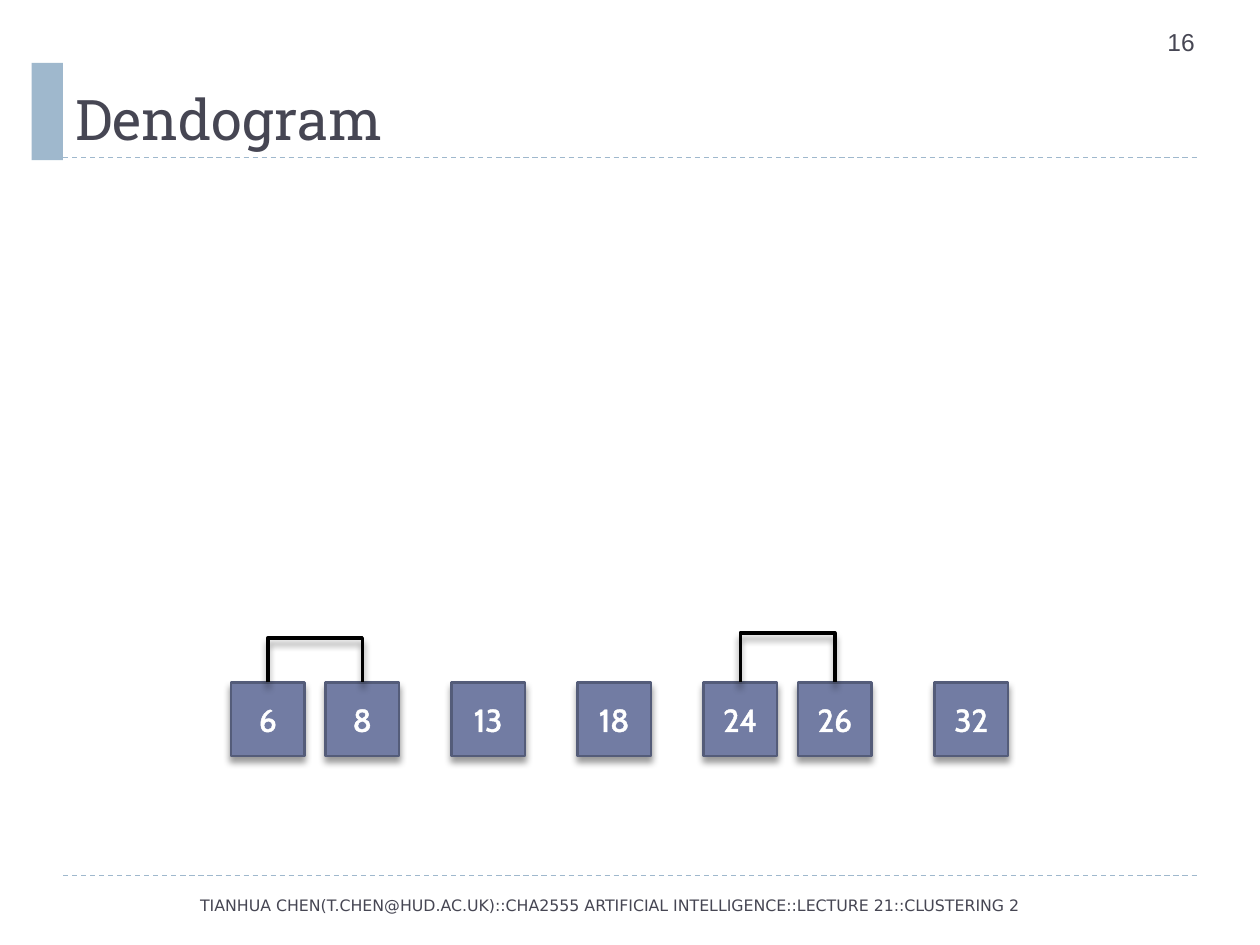
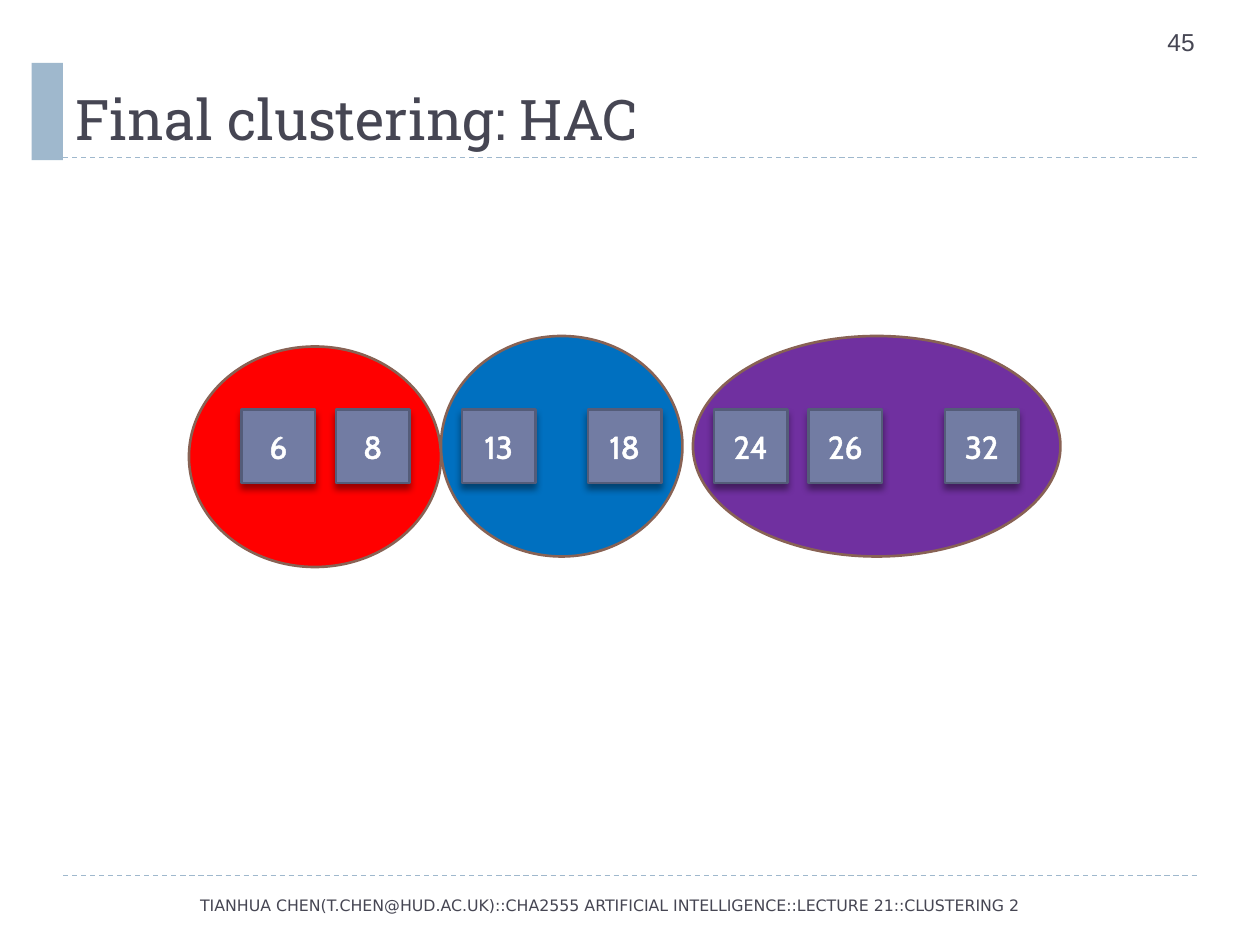
from dataclasses import dataclass

from lxml import etree
from pptx import Presentation
from pptx.dml.color import RGBColor
from pptx.enum.dml import MSO_LINE
from pptx.enum.shapes import MSO_CONNECTOR, MSO_SHAPE
from pptx.enum.text import MSO_ANCHOR, PP_ALIGN
from pptx.oxml import parse_xml
from pptx.oxml.ns import nsdecls, qn
from pptx.util import Pt

RECT, OVAL = MSO_SHAPE.RECTANGLE, MSO_SHAPE.OVAL
STRAIGHT, ELBOW = MSO_CONNECTOR.STRAIGHT, MSO_CONNECTOR.ELBOW
TOP, MIDDLE, BOTTOM = MSO_ANCHOR.TOP, MSO_ANCHOR.MIDDLE, MSO_ANCHOR.BOTTOM
LEFT, CENTER = PP_ALIGN.LEFT, PP_ALIGN.CENTER
DASH = MSO_LINE.DASH


@dataclass(frozen=True)
class Theme:
    ink: str = "464653"
    accent: str = "9FB8CD"
    tile: str = "727CA3"
    tile_edge: str = "545C79"
    cluster_edge: str = "886254"
    white: str = "FFFFFF"
    black: str = "000000"
    red: str = "FF0000"
    blue: str = "0070C0"
    purple: str = "7030A0"
    title_font: str = "Roboto Slab"
    number_font: str = "Arial"
    tile_font: str = "Cabin"
    footer_font: str = "DejaVu Sans"
    title_size: float = 32
    number_size: float = 14
    tile_size: float = 18
    footer_size: float = 9


T = Theme()
WIDTH, HEIGHT = 720, 540
FOOTER = ("TIANHUA CHEN(T.CHEN@HUD.AC.UK)::CHA2555 ARTIFICIAL INTELLIGENCE"
          "::LECTURE 21::CLUSTERING 2")

# Data points and their distance from the left end of the row
TILE = 42
POINTS = {6: 0, 8: 54, 13: 126, 18: 198, 24: 270, 26: 324, 32: 402}


def rgb(value):
    return RGBColor.from_string(value)


def write(tf, text, *, font, size, color, align=LEFT, anchor=TOP, outline=None):
    """Fill a text frame with one formatted run."""
    tf.word_wrap = True
    tf.vertical_anchor = anchor
    p = tf.paragraphs[0]
    p.alignment = align
    r = p.add_run()
    r.text = text
    r.font.name, r.font.size = font, Pt(size)
    r.font.color.rgb = rgb(color)
    if outline:
        r._r.get_or_add_rPr().insert(0, parse_xml(
            f'<a:ln {nsdecls("a")} w="{Pt(outline)}"><a:solidFill>'
            f'<a:srgbClr val="{color}"/></a:solidFill></a:ln>'))


def add_text(slide, box, text, **style):
    write(slide.shapes.add_textbox(*map(Pt, box)).text_frame, text, **style)


def add_filled(slide, kind, box, fill, edge=None):
    s = slide.shapes.add_shape(kind, *map(Pt, box))
    s.shadow.inherit = False
    s.fill.solid()
    s.fill.fore_color.rgb = rgb(fill)
    if edge:
        s.line.color.rgb, s.line.width = rgb(edge), Pt(1.5)
    else:
        s.line.fill.background()
    return s


def add_line(slide, kind, start, end, color, width):
    c = slide.shapes.add_connector(kind, *map(Pt, (*start, *end)))
    c.line.color.rgb, c.line.width = rgb(color), Pt(width)
    etree.SubElement(c._element.spPr, qn("a:effectLst"))
    return c


def add_shadow(s, distance):
    """Cast a soft black shadow straight down."""
    s._element.spPr.find(qn("a:effectLst")).append(parse_xml(
        f'<a:outerShdw {nsdecls("a")} blurRad="{Pt(4)}" dist="{Pt(distance)}" '
        f'dir="5400000" rotWithShape="0"><a:srgbClr val="{T.black}">'
        '<a:alpha val="40000"/></a:srgbClr></a:outerShdw>'))


def add_frame(slide, title, number):
    """Rules, accent block, page number, title and footer."""
    for y in (500.4, 90):
        add_line(slide, STRAIGHT, (36, y), (684, y), T.accent, 0.75).line.dash_style = DASH
    add_filled(slide, RECT, (18, 36, 18, 55.5), T.accent)
    add_text(slide, (660, 12, 60, 29), str(number), font=T.number_font,
             size=T.number_size, color=T.ink)
    add_text(slide, (36, 12, 648, 78), title, font=T.title_font,
             size=T.title_size, color=T.ink, anchor=BOTTOM)
    add_text(slide, (14.5, 501, 667.5, 32), FOOTER, font=T.footer_font,
             size=T.footer_size, color=T.ink, align=CENTER, anchor=MIDDLE)


def add_tiles(slide, left, top):
    """One tile for each data point."""
    for value, dx in POINTS.items():
        s = add_filled(slide, RECT, (left + dx, top, TILE, TILE), T.tile, T.tile_edge)
        add_shadow(s, 3)
        write(s.text_frame, str(value), font=T.tile_font, size=T.tile_size,
              color=T.white, align=CENTER, anchor=MIDDLE, outline=1.45)


def add_merge(slide, left, top, first, second, rise):
    """Bracket that joins the tops of two tiles."""
    depth = 0.12
    span = POINTS[second] - POINTS[first]
    x = left + POINTS[first] + TILE / 2 + span / 2
    # Drawn upright and flipped, then turned a quarter so that it opens downwards
    c = add_line(slide, ELBOW, (x + depth / 2, top + span / 2),
                 (x - depth / 2, top - span / 2), T.black, 2)
    add_shadow(c, 3.4)
    sp_pr = c._element.spPr
    sp_pr.find(qn("a:xfrm")).set("rot", "5400000")
    guides = sp_pr.find(qn("a:prstGeom")).get_or_add_avLst()
    etree.SubElement(guides, qn("a:gd"), name="adj1",
                     fmla=f"val {round(rise / depth * 100000)}")


def add_clusters(slide, left, top):
    """Ellipses behind the tiles of each final cluster."""
    for dx, dy, width, color in ((258, -42, 210, T.purple),
                                 (114, -42, 138, T.blue),
                                 (-30, -36, 144, T.red)):
        add_filled(slide, OVAL, (left + dx, top + dy, width, 126), color, T.cluster_edge)


def dendrogram_slide(slide, left, top):
    add_frame(slide, "Dendogram", 16)
    add_tiles(slide, left, top)
    add_merge(slide, left, top, 6, 8, 27)
    add_merge(slide, left, top, 24, 26, 30)


def clustering_slide(slide, left, top):
    add_frame(slide, "Final clustering: HAC", 45)
    add_clusters(slide, left, top)
    add_tiles(slide, left, top)


def main():
    prs = Presentation()
    prs.slide_width, prs.slide_height = Pt(WIDTH), Pt(HEIGHT)
    blank = prs.slide_layouts[6]
    dendrogram_slide(prs.slides.add_slide(blank), 132, 390)
    clustering_slide(prs.slides.add_slide(blank), 138, 234)
    prs.save("out.pptx")


if __name__ == "__main__":
    main()
